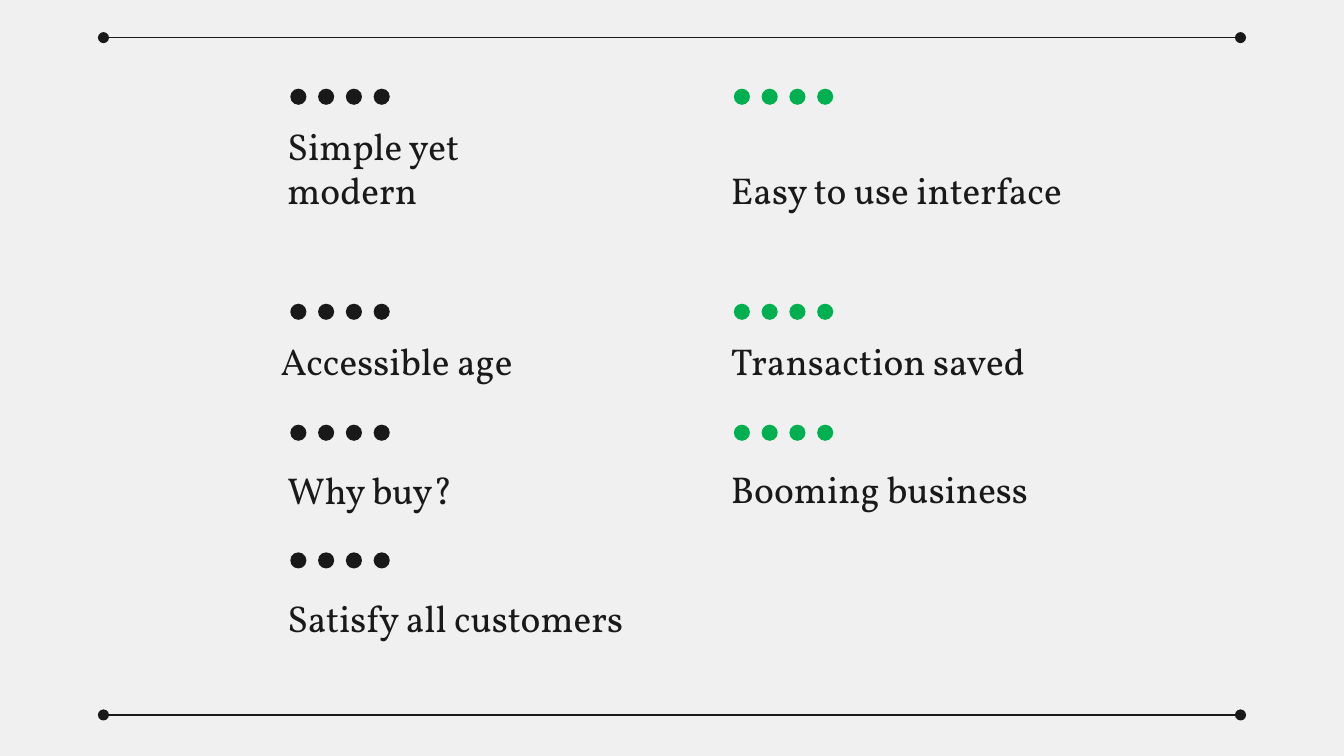
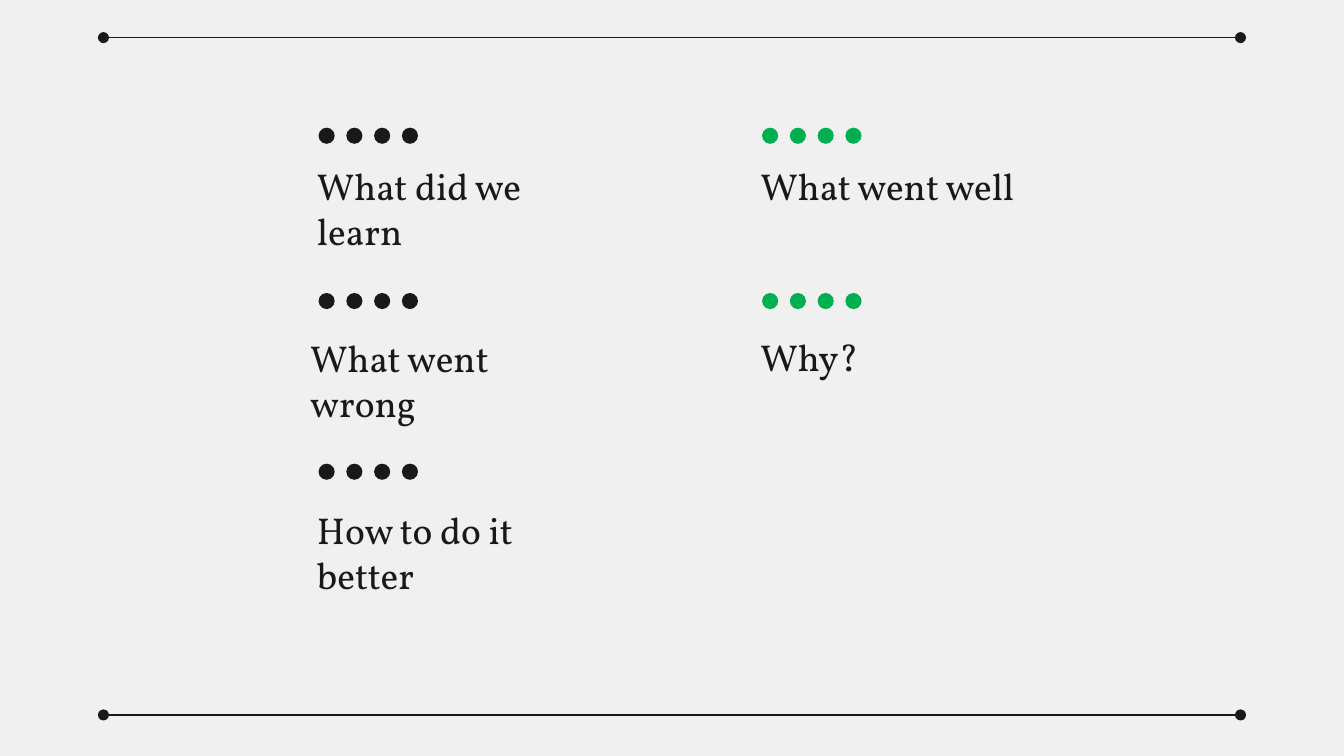
"""Build two slides of short headings, each marked by a row of four dots."""
import pptx
import pptx.dml.color
import pptx.enum.shapes
import pptx.enum.text
import pptx.oxml.ns
import pptx.util
from lxml import etree

Inches = pptx.util.Inches
COLORS = {"paper": "F0F0F0", "ink": "191919", "green": "00B050"}
FONT = "Vollkorn"
RULE_LEFT, RULE_RIGHT, RULE_TOPS = 0.77, 9.23, (0.28, 5.32)
DOT_COUNT, DOT_SIZE, DOT_SPAN = 4, 0.12, 0.62
COLUMN_STEP = 3.3
HEADING_HEIGHT = 0.58
COLUMN_COLORS = ("ink", "green")
COLUMN_WIDTHS = (2.28, 2.68)


def rgb(name):
    return pptx.dml.color.RGBColor.from_string(COLORS[name])


def add_text(slide, text, left, top, width, height, size=20, color="ink"):
    heading = slide.shapes.add_textbox(Inches(left), Inches(top), Inches(width), Inches(height))
    frame = heading.text_frame
    frame.word_wrap = True
    frame.vertical_anchor = pptx.enum.text.MSO_ANCHOR.BOTTOM
    frame.margin_left = frame.margin_right = Inches(0.1)
    frame.margin_top = frame.margin_bottom = Inches(0.1)
    run = frame.paragraphs[0].add_run()
    run.text = text
    run.font.name = FONT
    run.font.size = pptx.util.Pt(size)
    run.font.color.rgb = rgb(color)


# Each heading: text, column, dots top, text top, left shift, extra width
features = [
    ("Simple yet modern", 0, 0.66, 1.1, 0, 0),
    ("Easy to use interface", 1, 0.66, 1.1, 0, 0),
    ("Accessible age", 0, 2.26, 2.37, -0.05, 0),
    ("Transaction saved", 1, 2.26, 2.37, 0, 0),
    ("Why buy?", 0, 3.16, 3.33, 0, 0),
    ("Booming business", 1, 3.16, 3.32, 0, 0),
    ("Satisfy all customers", 0, 4.11, 4.28, 0, 0.69),
]
lessons = [
    ("What did we learn", 0, 0.95, 1.4, 0, 0),
    ("What went well", 1, 0.95, 1.07, 0, 0),
    ("What went wrong", 0, 2.18, 2.68, -0.05, 0),
    ("Why?", 1, 2.18, 2.34, 0, 0),
    ("How to do it better", 0, 3.45, 3.96, 0, 0),
]

deck = pptx.Presentation()
deck.slide_width = Inches(10)
deck.slide_height = Inches(10 * 9 / 16)

for dots_left, text_left, headings in ((2.16, 2.04, features), (2.37, 2.26, lessons)):
    slide = deck.slides.add_slide(deck.slide_layouts[6])
    slide.background.fill.solid()
    slide.background.fill.fore_color.rgb = rgb("paper")

    for top in RULE_TOPS:
        rule = slide.shapes.add_connector(
            pptx.enum.shapes.MSO_CONNECTOR.STRAIGHT,
            Inches(RULE_LEFT), Inches(top), Inches(RULE_RIGHT), Inches(top))
        rule.line.color.rgb = rgb("ink")
        rule.line.width = pptx.util.Pt(0.75)
        outline = rule.line._get_or_add_ln()
        for end in ("a:headEnd", "a:tailEnd"):
            etree.SubElement(outline, pptx.oxml.ns.qn(end), type="oval")
        etree.SubElement(rule._element.spPr, pptx.oxml.ns.qn("a:effectLst"))

    for text, column, dots_top, text_top, shift, extra in headings:
        offset = column * COLUMN_STEP
        dots = slide.shapes.add_group_shape()
        for i in range(DOT_COUNT):
            dot = dots.shapes.add_shape(
                pptx.enum.shapes.MSO_SHAPE.OVAL,
                Inches(dots_left + offset + i * DOT_SPAN / (DOT_COUNT - 1)),
                Inches(dots_top), Inches(DOT_SIZE), Inches(DOT_SIZE))
            dot.shadow.inherit = False
            dot.fill.solid()
            dot.fill.fore_color.rgb = rgb(COLUMN_COLORS[column])
            dot.line.fill.background()
        add_text(slide, text, text_left + offset + shift, text_top,
                 COLUMN_WIDTHS[column] + extra, HEADING_HEIGHT)

deck.save("out.pptx")
